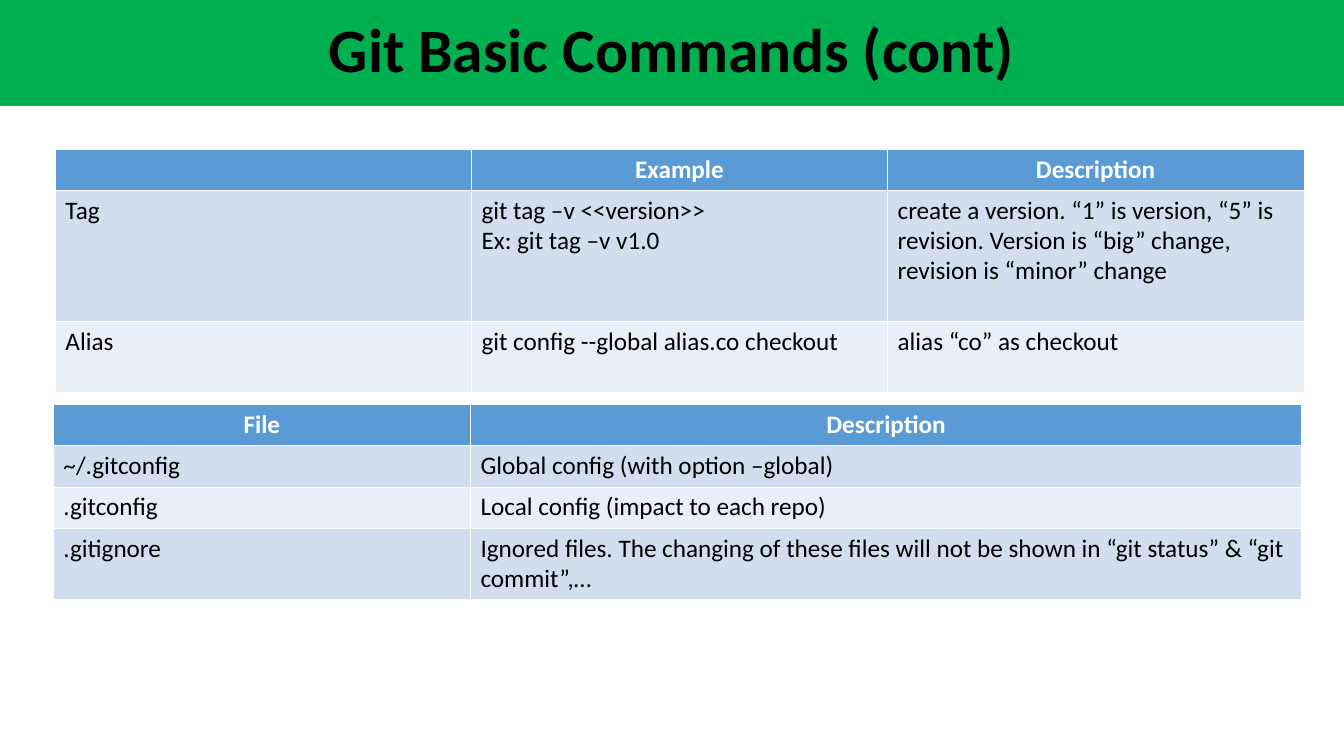
from lxml import etree
from pptx import Presentation
from pptx import util as u
from pptx.dml.color import RGBColor
from pptx.enum import shapes, text
from pptx.oxml import ns

COLORS = {
    "banner": "00B050",
    "header": "5B9BD5",
    "odd_row": "D2DEEF",
    "even_row": "EAEFF7",
    "white": "FFFFFF",
    "black": "000000",
}
FONT = "Calibri"

COMMANDS = [
    ["", "Example", "Description"],
    ["Tag", "git tag –v <<version>>\nEx: git tag –v v1.0",
     "create a version. “1” is version, “5” is revision. "
     "Version is “big” change, revision is “minor” change"],
    ["Alias", "git config --global alias.co checkout", "alias “co” as checkout"],
]
FILES = [
    ["File", "Description"],
    ["~/.gitconfig", "Global config (with option –global)"],
    [".gitconfig", "Local config (impact to each repo)"],
    [".gitignore", "Ignored files. The changing of these files will not be "
                   "shown in “git status” & “git commit”,…"],
]


def color(name):
    return RGBColor.from_string(COLORS[name])


def style_paragraph(para, size, color_name, bold, align, spacing):
    para.alignment = align
    para.line_spacing = spacing
    para.font.name = FONT
    para.font.size = u.Pt(size)
    para.font.bold = bold
    para.font.color.rgb = color(color_name)


def add_borders(cell, top, bottom):
    properties = cell._tc.get_or_add_tcPr()
    for side, width in (("L", 0.23), ("R", 0.23), ("T", top), ("B", bottom)):
        line = etree.SubElement(properties, ns.qn(f"a:ln{side}"), w=str(u.Pt(width)))
        fill = etree.SubElement(line, ns.qn("a:solidFill"))
        etree.SubElement(fill, ns.qn("a:srgbClr"), val=COLORS["white"])


def add_banner(page, left, top, width, height):
    banner = page.shapes.add_shape(
        shapes.MSO_SHAPE.RECTANGLE,
        u.Inches(left), u.Inches(top), u.Inches(width), u.Inches(height))
    banner.shadow.inherit = False
    banner.fill.solid()
    banner.fill.fore_color.rgb = color("banner")
    banner.line.fill.background()
    frame = banner.text_frame
    frame.word_wrap = True
    frame.vertical_anchor = text.MSO_ANCHOR.MIDDLE
    frame.text = "Git Basic Commands (cont)"
    style_paragraph(frame.paragraphs[0], 44, "black", True, text.PP_ALIGN.CENTER, 0.9)


def add_banded_table(page, left, top, widths, heights, rows):
    table = page.shapes.add_table(
        len(rows), len(widths), u.Inches(left), u.Inches(top),
        u.Inches(sum(widths)), u.Inches(sum(heights))).table
    for column, width in zip(table.columns, widths):
        column.width = u.Inches(width)
    for index, (row, height, values) in enumerate(zip(table.rows, heights, rows)):
        row.height = u.Inches(height)
        is_header = index == 0
        fill_name = "header" if is_header else "odd_row" if index % 2 else "even_row"
        align = text.PP_ALIGN.CENTER if is_header else text.PP_ALIGN.LEFT
        for cell, value in zip(row.cells, values):
            add_borders(cell, 0.75 if index == 1 else 0.23, 0.75 if is_header else 0.23)
            cell.fill.solid()
            cell.fill.fore_color.rgb = color(fill_name)
            cell.text = value
            for para in cell.text_frame.paragraphs:
                style_paragraph(para, 18, "white" if is_header else "black",
                                is_header, align, 0.98)


def main():
    deck = Presentation()
    deck.slide_width = u.Inches(13.34)
    deck.slide_height = u.Inches(7.5)
    page = deck.slides.add_slide(deck.slide_layouts[6])
    add_banner(page, 0, 0, 13.34, 1.05)
    add_banded_table(page, 0.55, 1.48, [4.13] * 3, [0.41, 1.3, 0.7], COMMANDS)
    add_banded_table(page, 0.53, 4.01, [4.14, 8.25], [0.41] * 3 + [0.7], FILES)
    deck.save("out.pptx")


if __name__ == "__main__":
    main()
